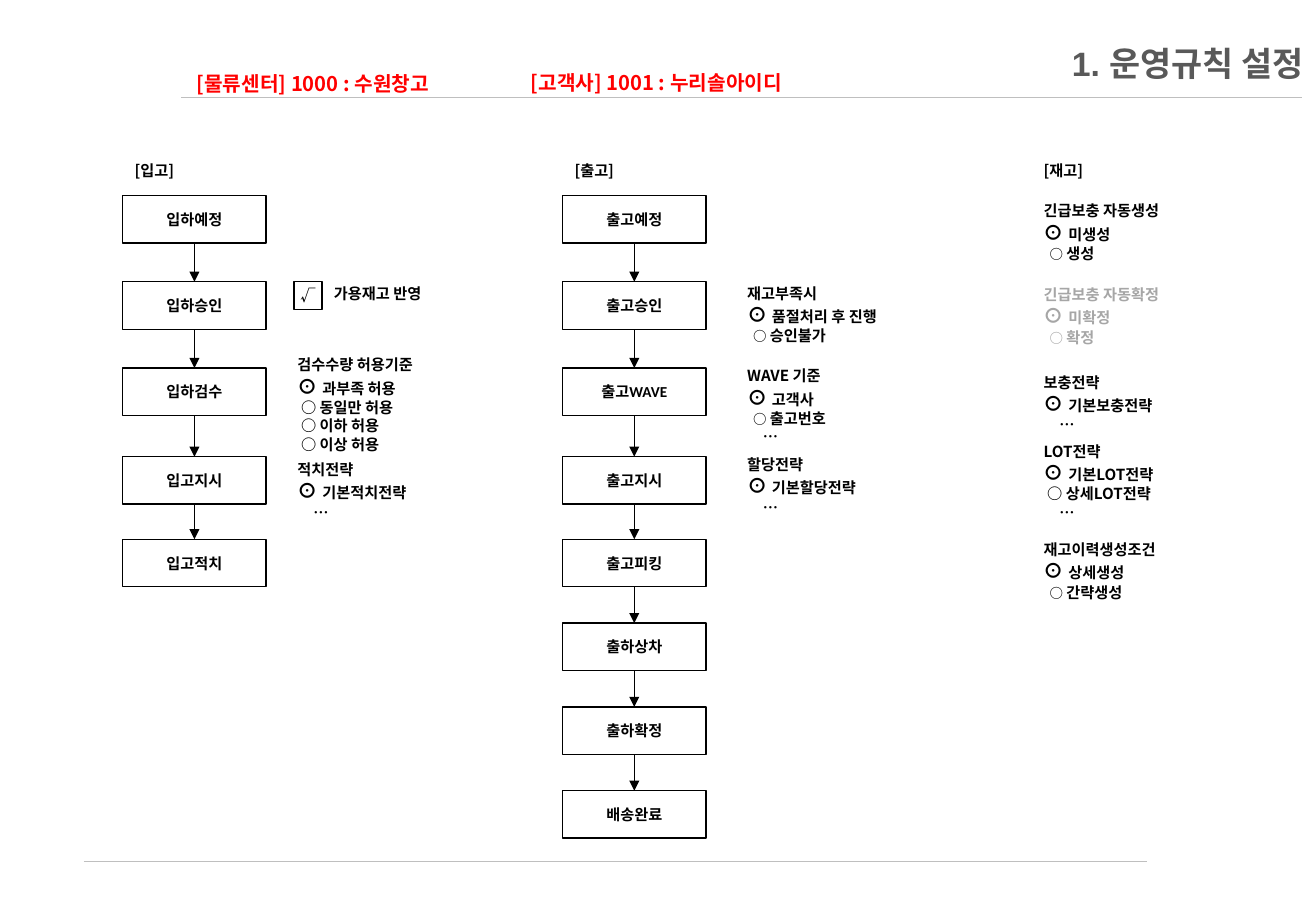
from dataclasses import dataclass

from lxml import etree
from pptx import Presentation
from pptx.dml.color import RGBColor
from pptx.enum.dml import MSO_LINE
from pptx.enum.shapes import MSO_CONNECTOR, MSO_SHAPE
from pptx.enum.text import MSO_ANCHOR, MSO_AUTO_SIZE, PP_ALIGN
from pptx.oxml.ns import qn
from pptx.util import Inches, Pt

STRAIGHT, RECTANGLE = MSO_CONNECTOR.STRAIGHT, MSO_SHAPE.RECTANGLE
DOTTED = MSO_LINE.ROUND_DOT
MIDDLE, TOP = MSO_ANCHOR.MIDDLE, MSO_ANCHOR.TOP
LEFT, CENTER, RIGHT = PP_ALIGN.LEFT, PP_ALIGN.CENTER, PP_ALIGN.RIGHT
GROW, FIXED = MSO_AUTO_SIZE.SHAPE_TO_FIT_TEXT, MSO_AUTO_SIZE.NONE
BOTTOM_SIDE, TOP_SIDE = 2, 0


@dataclass(frozen=True)
class Theme:
    ink: str = "000000"
    muted: str = "A6A6A6"
    alert: str = "FF0000"
    heading: str = "595959"
    rule: str = "BFBFBF"
    paper: str = "FFFFFF"
    title_size: int = 20
    lead_size: int = 12
    body_size: int = 9
    small_size: int = 8
    title_font: str = "Arial"
    step_font: str = "Calibri"
    body_font: str = "Noto Sans CJK KR"


THEME = Theme()

# Content
TITLE = "1. 운영규칙 설정"
SCOPES = [(1.52, 0.54, 2.56, "[물류센터] 1000 : 수원창고"),
          (4.27, 0.53, 2.72, "[고객사] 1001 : 누리솔아이디")]
FLOWS = {
    "inbound": ["입하예정", "입하승인", "입하검수", "입고지시", "입고적치"],
    "outbound": ["출고예정", "출고승인", "출고WAVE", "출고지시", "출고피킹",
                 "출하상차", "출하확정", "배송완료"],
}
HEADINGS = {"inbound": "[입고]", "outbound": "[출고]", "stock": "[재고]"}
CHECK = ("√", "가용재고 반영")
# Rule groups: column, top, width, name, options as (kind, label), muted
RULES = [
    ("inbound", 3.74, 1.26, "적치전략", [("chosen", "기본적치전략"), ("more", "…")], False),
    ("outbound", 2.29, 1.42, "재고부족시",
     [("chosen", "품절처리 후 진행"), ("small", "승인불가")], False),
    ("outbound", 2.97, 1.42, "WAVE 기준",
     [("chosen", "고객사"), ("small", "출고번호"), ("more", "…")], False),
    ("outbound", 3.7, 1.26, "할당전략", [("chosen", "기본할당전략"), ("more", "…")], False),
    ("stock", 1.61, 1.42, "긴급보충 자동생성", [("chosen", "미생성"), ("small", "생성")], False),
    ("stock", 2.3, 1.42, "긴급보충 자동확정", [("chosen", "미확정"), ("small", "확정")], True),
    ("stock", 3.02, 1.26, "보충전략", [("chosen", "기본보충전략"), ("more", "…")], False),
    ("stock", 3.59, 1.26, "LOT전략",
     [("chosen", "기본LOT전략"), ("open", "상세LOT전략"), ("more", "…")], False),
    ("stock", 4.4, 1.42, "재고이력생성조건",
     [("chosen", "상세생성"), ("small", "간략생성")], False),
    ("inbound", 2.88, 1.46, "검수수량 허용기준",
     [("chosen", "과부족 허용"), ("open", "동일만 허용"), ("open", "이하 허용"),
      ("open", "이상 허용")], False),
]
# Option kind: mark, mark size, indent
MARKS = {"chosen": ("⊙ ", THEME.lead_size, 0), "small": ("○ ", THEME.small_size, 0.05),
         "open": ("○ ", THEME.body_size, 0.03), "more": ("", THEME.body_size, 0.13)}

# Grid, in inches
PAGE_WIDTH, PAGE_HEIGHT = 10.83, 7.5
COLUMNS = {"inbound": 1.01, "outbound": 4.63, "stock": 8.49}
RULE_COLUMNS = {"inbound": 2.35, "outbound": 6.05, "stock": 8.49}
ROWS = [1.61, 2.32, 3.03, 3.76, 4.44, 5.13, 5.82, 6.51]
STEP_WIDTH, STEP_HEIGHT = 1.18, 0.39
HEADING_TOP, LABEL_WIDTH = 1.28, 1.26
CHECK_LEFT, CHECK_SIDE = 2.42, 0.23
RULE_LINES = [(1.49, 10.71, 0.8), (0.69, 9.43, 7.09)]


def write(shape, lines, *, color=THEME.ink, font=THEME.body_font, size=THEME.body_size,
          align=LEFT, anchor=TOP, wrap=True, fit=FIXED):
    """Each line is (indent, [(text, size or None), ...])."""
    frame = shape.text_frame
    frame.word_wrap, frame.auto_size, frame.vertical_anchor = wrap, fit, anchor
    for index, (indent, spans) in enumerate(lines):
        para = frame.add_paragraph() if index else frame.paragraphs[0]
        para.alignment = align
        if indent:
            para._p.get_or_add_pPr().set("marL", str(Inches(indent)))
        for text, span_size in spans:
            span = para.add_run()
            span.text = text
            span.font.name, span.font.bold = font, True
            span.font.size = Pt(span_size or size)
            span.font.color.rgb = RGBColor.from_string(color)
            east_asian = etree.SubElement(span._r.get_or_add_rPr(), qn("a:ea"))
            east_asian.set("typeface", THEME.body_font)


def plain(text):
    return [(0, [(text, None)])]


def add_label(page, left, top, width, lines, **style):
    height = 0.1 + 0.16 * len(lines)
    box = page.shapes.add_textbox(Inches(left), Inches(top), Inches(width), Inches(height))
    write(box, lines, fit=GROW, **style)


def add_box(page, left, top, width, height, text, font):
    box = page.shapes.add_shape(RECTANGLE, Inches(left), Inches(top),
                                Inches(width), Inches(height))
    box.shadow.inherit = False
    box.fill.solid()
    box.fill.fore_color.rgb = RGBColor.from_string(THEME.paper)
    box.line.color.rgb = RGBColor.from_string(THEME.ink)
    box.line.width = Pt(0.75)
    frame = box.text_frame
    frame.margin_left = frame.margin_right = Inches(0.02)
    frame.margin_top = frame.margin_bottom = Inches(0.04)
    write(box, plain(text), font=font, align=CENTER, anchor=MIDDLE, wrap=False)
    return box


def add_line(page, start, end, color, width):
    line = page.shapes.add_connector(STRAIGHT, *map(Inches, start + end))
    line.line.color.rgb = RGBColor.from_string(color)
    line.line.width = Pt(width)
    etree.SubElement(line._element.spPr, qn("a:effectLst"))
    return line


def add_arrow(page, upper, lower):
    arrow = add_line(page, (0, 0), (0, 0), THEME.ink, 0.75)
    arrow.begin_connect(upper, BOTTOM_SIDE)
    arrow.end_connect(lower, TOP_SIDE)
    head = etree.SubElement(arrow.line._get_or_add_ln(), qn("a:tailEnd"))
    head.set("type", "triangle")


def option_line(kind, label):
    mark, mark_size, indent = MARKS[kind]
    spans = [(mark, mark_size)] if mark else []
    return indent, spans + [(label, None)]


def main():
    deck = Presentation()
    deck.slide_width, deck.slide_height = Inches(PAGE_WIDTH), Inches(PAGE_HEIGHT)
    page = deck.slides.add_slide(deck.slide_layouts[5])

    # Header and footer rules
    for left, right, height in RULE_LINES:
        line = add_line(page, (left, height), (right, height), THEME.rule, 0.25)
        line.line.dash_style = DOTTED

    # Title and scope
    title = page.shapes.title
    title.left, title.top = Inches(1.08), Inches(0.29)
    title.width, title.height = Inches(PAGE_WIDTH - 1.08), Inches(0.45)
    write(title, plain(TITLE), color=THEME.heading, font=THEME.title_font,
          size=THEME.title_size, align=RIGHT, anchor=MIDDLE)
    for left, top, width, text in SCOPES:
        add_label(page, left, top, width, plain(text), color=THEME.alert,
                  size=THEME.lead_size)

    # Column headings
    for column, text in HEADINGS.items():
        add_label(page, COLUMNS[column], HEADING_TOP, LABEL_WIDTH, plain(text))

    # Process flows
    for column, steps in FLOWS.items():
        boxes = [add_box(page, COLUMNS[column], top, STEP_WIDTH, STEP_HEIGHT, step,
                         THEME.step_font) for top, step in zip(ROWS, steps)]
        for upper, lower in zip(boxes, boxes[1:]):
            add_arrow(page, upper, lower)

    # Check box beside the approval step
    mark, label = CHECK
    add_box(page, CHECK_LEFT, ROWS[1], CHECK_SIDE, CHECK_SIDE, mark, THEME.body_font)
    add_label(page, CHECK_LEFT + CHECK_SIDE, 2.29, LABEL_WIDTH, plain(label))

    # Rule groups
    for column, top, width, name, options, muted in RULES:
        lines = plain(name) + [option_line(*option) for option in options]
        add_label(page, RULE_COLUMNS[column], top, width, lines,
                  color=THEME.muted if muted else THEME.ink)

    deck.save("out.pptx")


if __name__ == "__main__":
    main()
